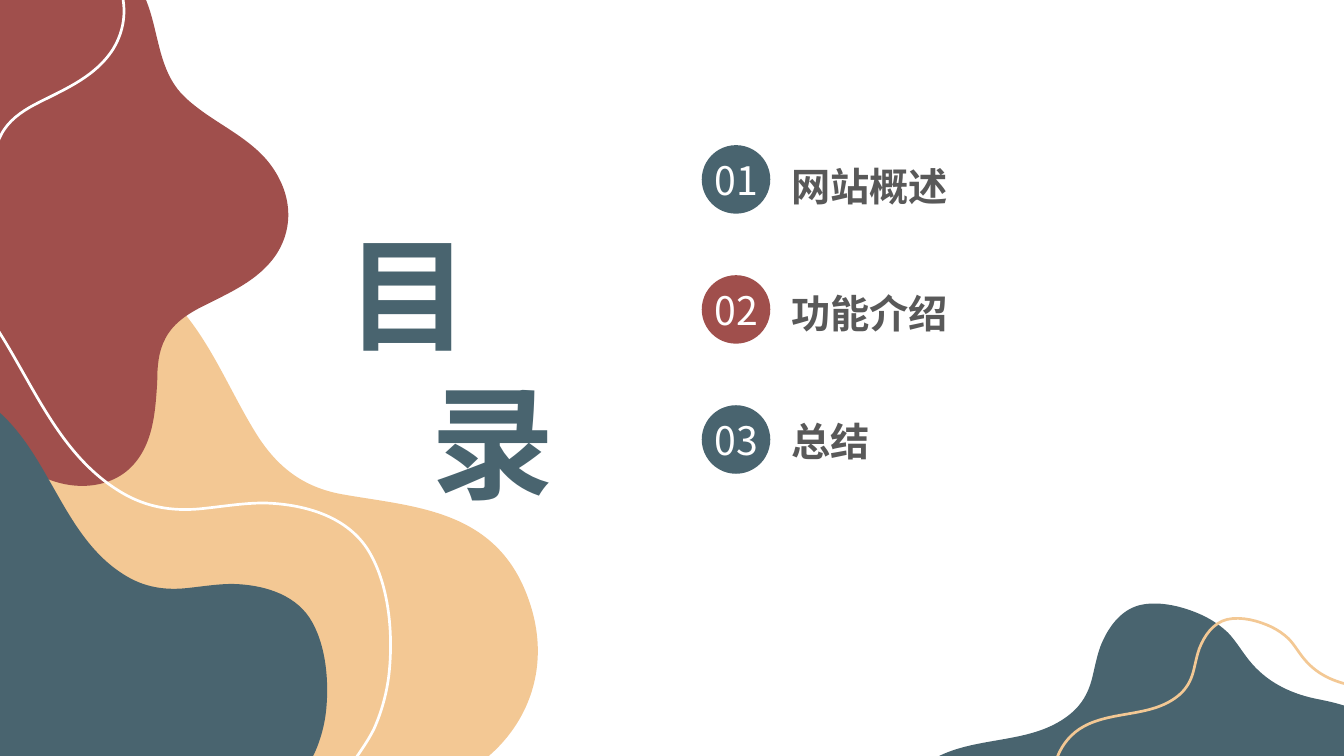
import dataclasses
import math

import lxml.etree
import pptx
import pptx.dml.color
import pptx.enum.shapes
import pptx.enum.text
import pptx.oxml.ns
import pptx.util

Inches = pptx.util.Inches
Pt = pptx.util.Pt
Align = pptx.enum.text.PP_ALIGN
Anchor = pptx.enum.text.MSO_ANCHOR
qn = pptx.oxml.ns.qn

FACE = "Noto Sans CJK SC"
TEAL, RED, SAND, WHITE, GREY = "49646F", "A04F4C", "F3C894", "FFFFFF", "595959"


@dataclasses.dataclass
class Curve:
    """Outline of cubic curves: a start point, then three points per curve."""
    width: float
    x: float
    y: float
    nums: list[float]


@dataclasses.dataclass
class Blob:
    """A curve placed by its centre, scaled to a width and turned in degrees."""
    curve: Curve
    x: float
    y: float
    width: float
    fill: str = ""
    line: str = ""
    turn: float = 0


@dataclasses.dataclass
class Item:
    num: str
    text: str
    fill: str


DUNE = Curve(6.43, 0.82, 6.08, [
    2.7, 7.7,
    2.29, 7.6, 1.85, 7.49, 1.48, 7.67, 1.13, 7.87, 0.96, 8.25, 0.77, 8.59,
    0.57, 8.94, 0.33, 9.26, -0.02, 9.45, -0.35, 9.63, -0.74, 9.7, -1.12, 9.63,
    -1.3, 9.6, -1.54, 9.56, -1.68, 9.43, -1.76, 9.37, -1.77, 9.3, -1.81, 9.22,
    -1.81, 9.21, -1.81, 9.2, -1.81, 9.2, -1.83, 9.2, -1.87, 9.16, -1.9, 9.13,
    -2.51, 8.5, -2.89, 7.63, -2.98, 6.77, -3.02, 6.33, -2.98, 5.87, -2.84, 5.48,
    -2.67, 5.05, -2.35, 4.79, -1.94, 4.67, -1.54, 4.55, -1.08, 4.55, -0.79, 4.23,
    -0.5, 3.9, -0.37, 3.44, -0.11, 3.09, 0.13, 2.77, 0.48, 2.51, 0.91, 2.55,
    1.28, 2.58, 1.62, 2.84, 1.87, 3.16, 2.14, 3.51, 2.31, 3.93, 2.54, 4.3,
    2.77, 4.67, 3.05, 4.85, 3.43, 4.91, 4.12, 5.03, 4.91, 5.06, 5.23, 5.91,
    5.61, 6.91, 4.9, 7.75, 4.04, 7.86, 3.59, 7.92, 3.15, 7.81, 2.7, 7.7])
CLOUD = Curve(5.53, 0.85, 2.02, [
    0.3, 4.66,
    0.29, 4.66, 0.28, 4.65, 0.28, 4.65, 0.27, 4.64, 0.26, 4.63, 0.25, 4.63,
    -0.01, 4.4, -0.16, 4.07, -0.17, 3.71, -0.2, 3.32, -0.05, 2.95, -0.06, 2.56,
    -0.08, 2.16, -0.36, 1.95, -0.66, 1.74, -0.96, 1.53, -1.22, 1.29, -1.34, 0.94,
    -1.4, 0.74, -1.43, 0.53, -1.4, 0.32, -1.38, 0.23, -1.37, 0.11, -1.3, 0.04,
    -1.27, 0, -1.23, -0.01, -1.18, -0.02, -0.73, -0.52, -0.04, -0.75, 0.62, -0.61,
    0.97, -0.53, 1.28, -0.36, 1.44, -0.02, 1.58, 0.3, 1.56, 0.7, 1.83, 0.96,
    2.08, 1.2, 2.41, 1.32, 2.64, 1.58, 2.87, 1.85, 2.94, 2.2, 2.75, 2.51,
    2.57, 2.79, 2.26, 2.91, 1.97, 3.06, 1.84, 3.13, 1.71, 3.22, 1.64, 3.36,
    1.57, 3.49, 1.56, 3.64, 1.56, 3.79, 1.54, 4.1, 1.52, 4.46, 1.25, 4.68,
    0.98, 4.89, 0.58, 4.85, 0.3, 4.66])
WAVE = Curve(8.96, 0.09, 6.74, [
    -2.57, 2.62,
    -1.95, 2.17, -1.06, 2.19, -0.48, 2.71, 0.22, 3.34, 0.39, 4.42, 1.23, 4.9,
    1.46, 5.03, 1.7, 5.07, 1.96, 5.05, 2.18, 5.03, 2.4, 4.99, 2.62, 4.99,
    3, 5, 3.42, 5.11, 3.64, 5.44, 3.86, 5.78, 3.9, 6.28, 3.86, 6.67,
    3.84, 6.86, 3.79, 7.05, 3.71, 7.23, 3.6, 7.45, 3.42, 7.65, 3.3, 7.87,
    3.05, 8.32, 3.01, 8.82, 3.09, 9.32, 3.15, 9.74, 3.19, 10.14, 3.02, 10.54,
    2.86, 10.91, 2.56, 11.21, 2.17, 11.31, 1.83, 11.39, 1.45, 11.33, 1.18, 11.1,
    0.87, 10.83, 0.75, 10.41, 0.7, 10.01, 0.64, 9.54, 0.63, 9.07, 0.4, 8.65,
    0.16, 8.2, -0.23, 7.93, -0.67, 7.7, -1.07, 7.5, -1.47, 7.28, -1.66, 6.85,
    -1.82, 6.47, -1.78, 6.09, -1.64, 5.71, -1.49, 5.27, -1.33, 4.86, -1.49, 4.4,
    -1.57, 4.2, -1.69, 4.01, -1.86, 3.87, -1.97, 3.77, -2.1, 3.7, -2.25, 3.69,
    -2.35, 3.68, -2.44, 3.71, -2.54, 3.71, -2.87, 3.69, -3.02, 3.34, -2.92, 3.06,
    -2.86, 2.88, -2.72, 2.74, -2.57, 2.62])

BLOBS = [
    Blob(DUNE, 0.82, 6.08, 6.43, fill=SAND),
    Blob(CLOUD, 0.85, 2.02, 5.53, fill=RED),
    Blob(WAVE, 0.42, 7.1, 6.69, fill=TEAL),
    Blob(WAVE, 11.32, 7.94, 4.59, fill=TEAL, turn=-70.3),
    Blob(WAVE, 12.18, 7.5, 3.21, line=SAND, turn=-70.3),
    Blob(WAVE, 0.09, 6.74, 8.96, line=WHITE),
    Blob(CLOUD, -0.78, 0, 5.53, line=WHITE),
]
ITEMS = [
    Item("01", "网站概述", TEAL),
    Item("02", "功能介绍", RED),
    Item("03", "总结", TEAL),
]
FRAME = {"margin_left": 0, "margin_right": 0, "margin_top": 0, "margin_bottom": 0,
         "word_wrap": True, "auto_size": pptx.enum.text.MSO_AUTO_SIZE.NONE}


def rgb(code: str) -> pptx.dml.color.RGBColor:
    return pptx.dml.color.RGBColor.from_string(code)


def assign(obj, vals: dict) -> None:
    for key, val in vals.items():
        setattr(obj, key, val)


def place(shape, x: float, y: float, w: float, h: float) -> None:
    assign(shape, {"left": Inches(x), "top": Inches(y),
                   "width": Inches(w), "height": Inches(h)})


def paint(shape, fill: str, line: str) -> None:
    shape.shadow.inherit = False
    for part, code in ((shape.fill, fill), (shape.line.fill, line)):
        if code:
            part.solid()
            part.fore_color.rgb = rgb(code)
        else:
            part.background()
    if line:
        shape.line.width = Pt(1.92)


def write(para, text: str, size: float, code: str, bold: bool, form: dict) -> None:
    run = para.add_run()
    run.text = text
    assign(run.font, {"name": FACE, "size": Pt(size), "bold": bold})
    run.font.color.rgb = rgb(code)
    east = lxml.etree.SubElement(run.font._element, qn("a:ea"))
    east.set("typeface", FACE)
    assign(para, form)


def draw_blob(slide, blob: Blob) -> None:
    curve = blob.curve
    ratio = blob.width / curve.width
    cos = ratio * math.cos(math.radians(blob.turn))
    sin = ratio * math.sin(math.radians(blob.turn))
    dots = []
    for px, py in zip(curve.nums[::2], curve.nums[1::2]):
        dx, dy = px - curve.x, py - curve.y
        dots.append((Inches(blob.x + dx * cos - dy * sin),
                     Inches(blob.y + dx * sin + dy * cos)))
    pen = slide.shapes.build_freeform(*dots[0])
    pen.add_line_segments(dots[1:], close=True)
    shape = pen.convert_to_shape()
    bend(shape)
    paint(shape, blob.fill, blob.line)


def bend(shape) -> None:
    """Join each three straight segments into one cubic curve."""
    lines = list(shape._element.iter(qn("a:lnTo")))
    for i in range(0, len(lines), 3):
        cubic = lxml.etree.Element(qn("a:cubicBezTo"))
        lines[i].addprevious(cubic)
        for line in lines[i:i + 3]:
            cubic.append(line[0])
            line.getparent().remove(line)


def draw_title(title) -> None:
    place(title, 3.44, 2.16, 2.06, 2.96)
    frame = title.text_frame
    assign(frame, FRAME | {"vertical_anchor": Anchor.TOP})
    for para, char, side in ((frame.paragraphs[0], "目", Align.LEFT),
                             (frame.add_paragraph(), "录", Align.RIGHT)):
        write(para, char, 88, TEAL, True,
              {"alignment": side, "line_spacing": Pt(106), "space_before": Pt(0)})


def draw_list(slide, body) -> None:
    place(body, 7.85, 1.6, 1.9, 3.2)
    assign(body.text_frame, FRAME | {"vertical_anchor": Anchor.TOP})
    for i, item in enumerate(ITEMS):
        para = body.text_frame.add_paragraph() if i else body.text_frame.paragraphs[0]
        write(para, item.text, 28, GREY, True,
              {"alignment": Align.LEFT, "line_spacing": Pt(34),
               "space_before": Pt(0), "space_after": Pt(57.4)})
        props = para._p.get_or_add_pPr()
        props.set("marL", "0")
        props.set("indent", "0")
        lxml.etree.SubElement(props, qn("a:buNone"))
        disc = slide.shapes.add_shape(
            pptx.enum.shapes.MSO_SHAPE.OVAL, Inches(6.96), Inches(1.44 + 1.29 * i),
            Inches(0.68), Inches(0.68))
        paint(disc, item.fill, "")
        assign(disc.text_frame, FRAME | {"word_wrap": False, "vertical_anchor": Anchor.MIDDLE})
        write(disc.text_frame.paragraphs[0], item.num, 28, WHITE, False,
              {"alignment": Align.CENTER, "line_spacing": Pt(34)})


def main() -> None:
    deck = pptx.Presentation()
    assign(deck, {"slide_width": Inches(13.33), "slide_height": Inches(7.5)})
    slide = deck.slides.add_slide(deck.slide_layouts[1])
    for blob in BLOBS:
        draw_blob(slide, blob)
    draw_title(slide.shapes.title)
    draw_list(slide, slide.placeholders[1])
    deck.save("out.pptx")


if __name__ == "__main__":
    main()
